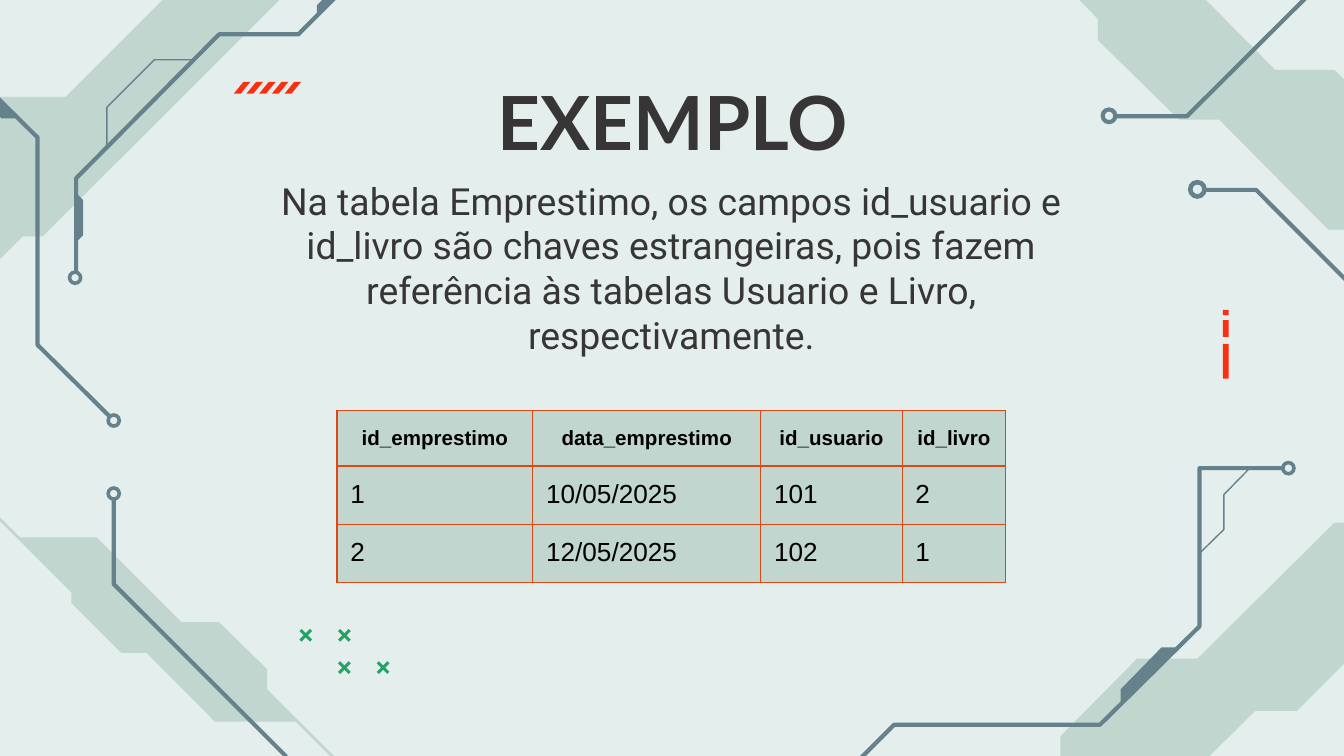
from dataclasses import dataclass

from lxml import etree
from pptx import Presentation
from pptx.dml.color import RGBColor
from pptx.enum.shapes import MSO_SHAPE
from pptx.enum.text import MSO_ANCHOR, PP_ALIGN
from pptx.oxml.ns import qn
from pptx.util import Cm, Pt

RECT = MSO_SHAPE.RECTANGLE
DONUT = MSO_SHAPE.DONUT
MIDDLE = MSO_ANCHOR.MIDDLE
TOP = MSO_ANCHOR.TOP
CENTER = PP_ALIGN.CENTER
LEFT = PP_ALIGN.LEFT

PALE, SAGE, SLATE = "E3EEED", "C1D6CE", "64818C"
RED, GREEN, INK, BLACK, RUST = "FC2E12", "24A364", "383536", "000000", "DD4815"

Point = tuple[float, float]


@dataclass
class Patch:
    color: str
    points: list[Point]


@dataclass
class Trace:
    points: list[Point]
    width: float = 2.25


@dataclass
class Ring:
    x: float
    y: float
    size: float = 0.28


@dataclass
class Label:
    text: str
    box: tuple[float, float, float, float]
    inset: float
    anchor: MSO_ANCHOR
    font: dict


BANDS = [
    Patch(SAGE, [(21.56, -1.24), (24.1, 1.32), (25.22, 1.32), (26.67, 2.74),
                 (26.67, 3.43), (27.58, 4.34), (25.1, 4.34), (23.04, 2.26),
                 (22.28, 2.26), (20.75, 0.76), (20.75, 0.36), (19.18, -1.24)]),
    Patch(SAGE, [(-5.23, 4.55), (-5.28, 4.57), (1.35, 11.2), (1.35, 11.4),
                 (2.29, 12.34), (2.77, 12.34), (4.06, 13.64), (5.59, 13.64),
                 (12.24, 20.32), (12.29, 20.27), (5.05, 13.03), (5.05, 12.65),
                 (4.14, 11.76), (3.43, 11.76), (1.83, 10.16), (0.38, 10.16)]),
    Patch(SAGE, [(25.22, 9.88), (22.63, 12.45), (21.49, 12.45), (20.04, 13.92),
                 (20.04, 14.61), (19.1, 15.52), (21.62, 15.52), (23.72, 13.44),
                 (24.51, 13.44), (26.04, 11.91), (26.04, 11.51), (27.66, 9.88)]),
    Patch(SAGE, [(3.07, 0), (1.24, 1.83), (-0.41, 1.83), (-4.11, 5.54),
                 (-0.64, 5.54), (0.43, 4.47), (0.81, 4.47), (5.28, 0)]),
]
CHIPS = [
    Patch(SLATE, [(22.28, 12.24), (21.95, 12.24), (21.18, 13.03), (21.18, 13.34)]),
    Patch(SLATE, [(1.45, 3.66), (1.57, 3.78), (1.57, 4.45), (1.45, 4.57)]),
    Patch(SLATE, [(6.65, -0.38), (5.99, 0.28), (5.99, 0.1), (6.45, -0.38)]),
    Patch(SLATE, [(-0.74, 1.14), (-0.74, 1.45), (0.03, 2.24), (0.33, 2.24)]),
]
TRACES = [
    Trace([(2.15, 9.43), (2.15, 11.04), (5.4, 14.29), (5.4, 15.29)]),
    Trace([(22.78, 3.59), (23.74, 3.59), (26.86, 6.72), (28.45, 6.72)]),
    Trace([(24.24, 8.85), (22.67, 8.85), (22.67, 11.84), (20.79, 13.7),
           (16.9, 13.7), (15.51, 15.09)]),
    Trace([(7.65, -1.37), (5.64, 0.65), (4.14, 0.65), (1.44, 3.37), (1.44, 5.14)]),
    Trace([(25.98, -0.52), (25.16, -0.52), (22.43, 2.2), (21.08, 2.2)]),
    Trace([(-4.13, -0.84), (-4.13, 0.75), (-1.16, 0.75), (0.71, 2.6),
           (0.71, 6.52), (2.08, 7.88)]),
    Trace([(23.61, 8.86), (23.13, 9.35), (23.13, 10.01), (22.67, 10.46)], 0.75),
    Trace([(3.68, 1.13), (2.92, 1.13), (2.02, 2.03), (2.02, 2.77)], 0.75),
]
RINGS = [Ring(2.15, 9.33), Ring(22.63, 3.58, 0.36), Ring(24.35, 8.85),
         Ring(1.42, 5.25), Ring(20.96, 2.19, 0.32), Ring(2.15, 7.95)]
BARS = [(5.86, 0.1), (6.05, 0.32), (6.5, 0.66)]
CROSSES = [(0, 0), (1, 0), (1, 1), (2, 1)]

LABELS = [
    Label("EXEMPLO", (4.42, 0.84, 16.59, 2.9), 0.25, MIDDLE,
          {"name": "Lato", "size": Pt(40), "bold": True}),
    Label("Na tabela Emprestimo, os campos id_usuario e id_livro são chaves "
          "estrangeiras, pois fazem referência às tabelas Usuario e Livro, "
          "respectivamente.", (4.27, 3.23, 16.84, 4.52), 0.13, TOP,
          {"name": "Roboto", "size": Pt(20), "bold": False}),
]
HEAD = {"name": "Arial", "size": Pt(11), "bold": True}
BODY = {"name": "Arial", "size": Pt(14), "bold": False}
COLS = [3.7, 4.31, 2.67, 1.96]
HEIGHTS = [1.05, 1.1, 1.1]
ROWS = [
    ["id_emprestimo", "data_emprestimo", "id_usuario", "id_livro"],
    ["1", "10/05/2025", "101", "2"],
    ["2", "12/05/2025", "102", "1"],
]


def paint(fill, color: str) -> None:
    fill.solid()
    fill.fore_color.rgb = RGBColor.from_string(color)


def outline(shapes, points: list[Point], close: bool):
    grid = [(x * 100, y * 100) for x, y in points]
    form = shapes.build_freeform(*grid[0], scale=Cm(0.01))
    form.add_line_segments(grid[1:], close=close)
    shape = form.convert_to_shape()
    shape.shadow.inherit = False
    return shape


def draw_patch(shapes, patch: Patch) -> None:
    shape = outline(shapes, patch.points, True)
    paint(shape.fill, patch.color)
    shape.line.fill.background()


def draw_trace(shapes, trace: Trace) -> None:
    shape = outline(shapes, trace.points, False)
    shape.fill.background()
    paint(shape.line.fill, SLATE)
    shape.line.width = Pt(trace.width)


def draw_shape(shapes, kind: MSO_SHAPE, box: tuple, color: str):
    shape = shapes.add_shape(kind, *map(Cm, box))
    shape.shadow.inherit = False
    paint(shape.fill, color)
    shape.line.fill.background()
    return shape


def draw_ring(shapes, ring: Ring) -> None:
    half = ring.size / 2
    box = (ring.x - half, ring.y - half, ring.size, ring.size)
    draw_shape(shapes, DONUT, box, SLATE).adjustments[0] = 0.25


def draw_cross(shapes, x: float, y: float) -> None:
    for side in (1, -1):
        bar = [(0.08, -0.12), (-0.12, 0.08), (-0.08, 0.12), (0.12, -0.08)]
        draw_patch(shapes, Patch(GREEN, [(x + side * a, y + b) for a, b in bar]))


def draw_slash(shapes, x: float, y: float) -> None:
    draw_patch(shapes, Patch(RED, [(x + 0.18, y), (x, y + 0.22),
                                   (x + 0.13, y + 0.22), (x + 0.31, y)]))


def write(frame, text: str, font: dict, color: str, align: PP_ALIGN) -> None:
    para = frame.paragraphs[0]
    para.alignment = align
    run = para.add_run()
    run.text = text
    for key, value in font.items():
        setattr(run.font, key, value)
    paint(run.font.fill, color)


def draw_label(shapes, label: Label) -> None:
    frame = shapes.add_textbox(*map(Cm, label.box)).text_frame
    form = {"word_wrap": True, "vertical_anchor": label.anchor,
            "margin_left": Cm(0.25), "margin_right": Cm(0.25),
            "margin_top": Cm(label.inset), "margin_bottom": Cm(label.inset)}
    for key, value in form.items():
        setattr(frame, key, value)
    write(frame, label.text, label.font, INK, CENTER)


def style_cell(cell) -> None:
    for side in ("left", "right", "top", "bottom"):
        setattr(cell, f"margin_{side}", Cm(0.25))
    paint(cell.fill, SAGE)
    props = cell._tc.get_or_add_tcPr()
    for spot, tag in enumerate(("a:lnL", "a:lnR", "a:lnT", "a:lnB")):
        edge = etree.Element(qn(tag), w=str(Pt(0.75)))
        fill = etree.SubElement(edge, qn("a:solidFill"))
        etree.SubElement(fill, qn("a:srgbClr"), val=RUST)
        props.insert(spot, edge)


def draw_table(shapes) -> None:
    size = map(Cm, (6.37, 7.76, sum(COLS), sum(HEIGHTS)))
    table = shapes.add_table(len(ROWS), len(COLS), *size).table
    table.horz_banding = False
    for col, width in zip(table.columns, COLS):
        col.width = Cm(width)
    for i, (row, height) in enumerate(zip(table.rows, HEIGHTS)):
        row.height = Cm(height)
        font, align = (BODY, LEFT) if i else (HEAD, CENTER)
        for cell, text in zip(row.cells, ROWS[i]):
            style_cell(cell)
            write(cell.text_frame, text, font, BLACK, align)
            if i == 0:
                cell.text_frame.paragraphs[0].line_spacing = 1.15


def main() -> None:
    deck = Presentation()
    deck.slide_width, deck.slide_height = Cm(25.4), Cm(14.29)
    slide = deck.slides.add_slide(deck.slide_layouts[6])
    paint(slide.background.fill, PALE)
    shapes = slide.shapes
    for patch in BANDS + CHIPS:
        draw_patch(shapes, patch)
    for trace in TRACES:
        draw_trace(shapes, trace)
    for ring in RINGS:
        draw_ring(shapes, ring)
    for col, row in CROSSES:
        draw_cross(shapes, 5.78 + 0.73 * col, 12.01 + 0.61 * row)
    for i in range(5):
        draw_slash(shapes, 4.42 + 0.24 * i, 1.55)
    for top, height in BARS:
        draw_shape(shapes, RECT, (23.11, top, 0.11, height), RED)
    for label in LABELS:
        draw_label(shapes, label)
    draw_table(shapes)
    deck.save("out.pptx")


if __name__ == "__main__":
    main()
